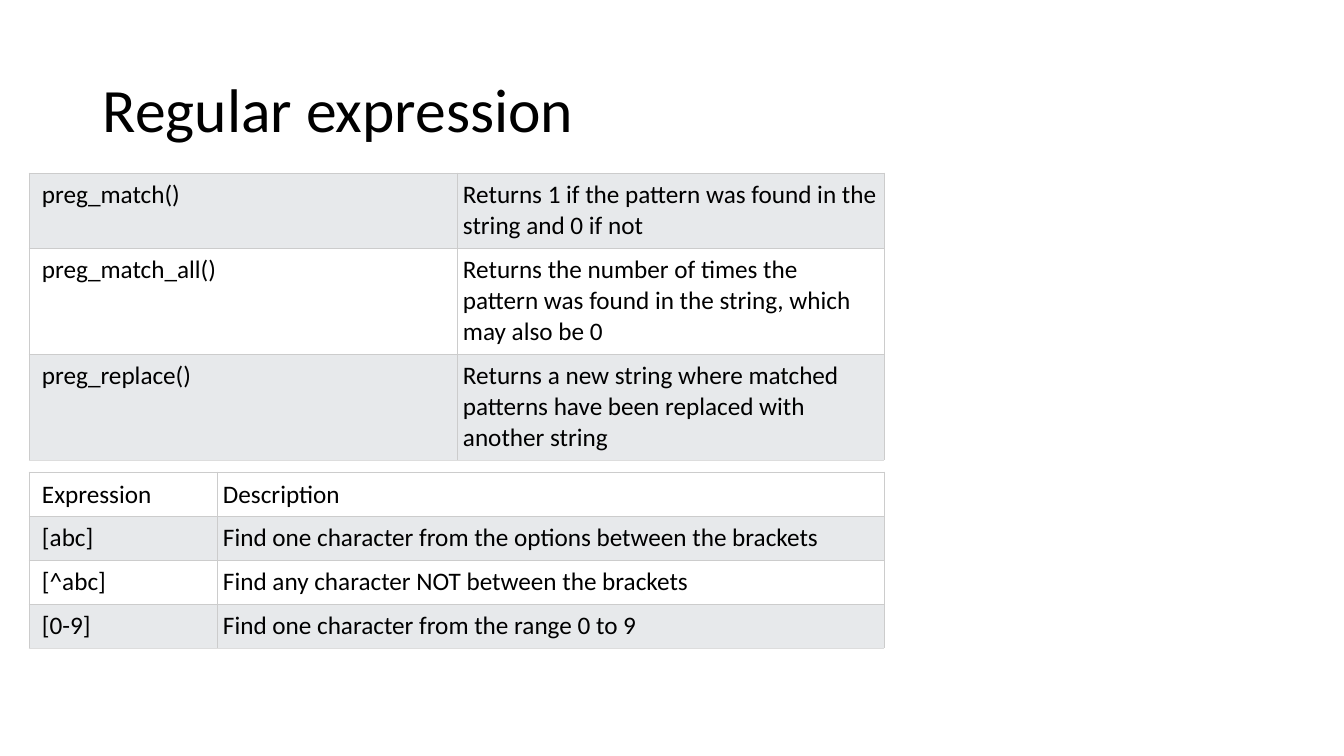
from lxml.etree import SubElement
from pptx import Presentation
from pptx.dml.color import RGBColor
from pptx.enum.text import MSO_ANCHOR
from pptx.oxml.ns import qn
from pptx.util import Pt

EMU_PER_PX = 914400 / 100.8
FONT = "Calibri"
COLORS = {
    "text": "000000",
    "stripe": "E7E9EB",
    "plain": "FFFFFF",
    "border": "CCCCCC",
    "bottom": "DDDDDD",
}
FUNCTIONS = [
    ("preg_match()", "Returns 1 if the pattern was found in the string and 0 if not"),
    ("preg_match_all()", "Returns the number of times the pattern was found in the string, "
                         "which may also be 0"),
    ("preg_replace()", "Returns a new string where matched patterns have been replaced "
                       "with another string"),
]
EXPRESSIONS = [
    ("Expression", "Description"),
    ("[abc]", "Find one character from the options between the brackets"),
    ("[^abc]", "Find any character NOT between the brackets"),
    ("[0-9]", "Find one character from the range 0 to 9"),
]


def px(length):
    return round(length * EMU_PER_PX)


def color(name):
    return RGBColor.from_string(COLORS[name])


def style_text(paragraph, size):
    for run in paragraph.runs:
        run.font.name = FONT
        run.font.size = Pt(size)
        run.font.color.rgb = color("text")


def add_title(slide, text, left, top, width, height):
    frame = slide.shapes.add_textbox(px(left), px(top), px(width), px(height)).text_frame
    frame.word_wrap = True
    frame.vertical_anchor = MSO_ANCHOR.MIDDLE
    heading = frame.paragraphs[0]
    heading.text = text
    heading.line_spacing = 0.9
    style_text(heading, 44)


def set_borders(cell, bottom):
    properties = cell._tc.get_or_add_tcPr()
    for side, name in (("L", "border"), ("R", "border"), ("T", "border"), ("B", bottom)):
        line = SubElement(properties, qn(f"a:ln{side}"), w=str(Pt(0.6)))
        fill = SubElement(line, qn("a:solidFill"))
        SubElement(fill, qn("a:srgbClr"), val=COLORS[name])


def fill_cell(cell, text, background, bottom, left_margin):
    cell.text = text
    style_text(cell.text_frame.paragraphs[0], 18)
    cell.margin_left, cell.margin_right = px(left_margin), px(6)
    cell.margin_top, cell.margin_bottom = px(7), px(6)
    set_borders(cell, bottom)
    cell.fill.solid()
    cell.fill.fore_color.rgb = color(background)


def add_reference_table(slide, entries, left, top, widths, heights, backgrounds):
    """Two-column table whose rows alternate between the two backgrounds."""
    table = slide.shapes.add_table(
        len(entries), len(widths), px(left), px(top), px(sum(widths)), px(sum(heights))
    ).table
    for column, width in zip(table.columns, widths):
        column.width = px(width)
    for index, (entry, height) in enumerate(zip(entries, heights)):
        table.rows[index].height = px(height)
        bottom = "bottom" if index == len(entries) - 1 else "border"
        for cell, text, margin in zip(table.rows[index].cells, entry, (13, 6)):
            fill_cell(cell, text, backgrounds[index % 2], bottom, margin)


def build_regex_slide(presentation):
    slide = presentation.slides.add_slide(presentation.slide_layouts[6])
    add_title(slide, "Regular expression", 93, 40, 1159, 146)
    add_reference_table(slide, FUNCTIONS, 29, 173, (428, 427), (75, 106, 106),
                        ("stripe", "plain"))
    add_reference_table(slide, EXPRESSIONS, 29, 472, (188, 667), (44,) * 4,
                        ("plain", "stripe"))


def main():
    presentation = Presentation()
    presentation.slide_width, presentation.slide_height = px(1344), px(756)
    build_regex_slide(presentation)
    presentation.save("out.pptx")


if __name__ == "__main__":
    main()
